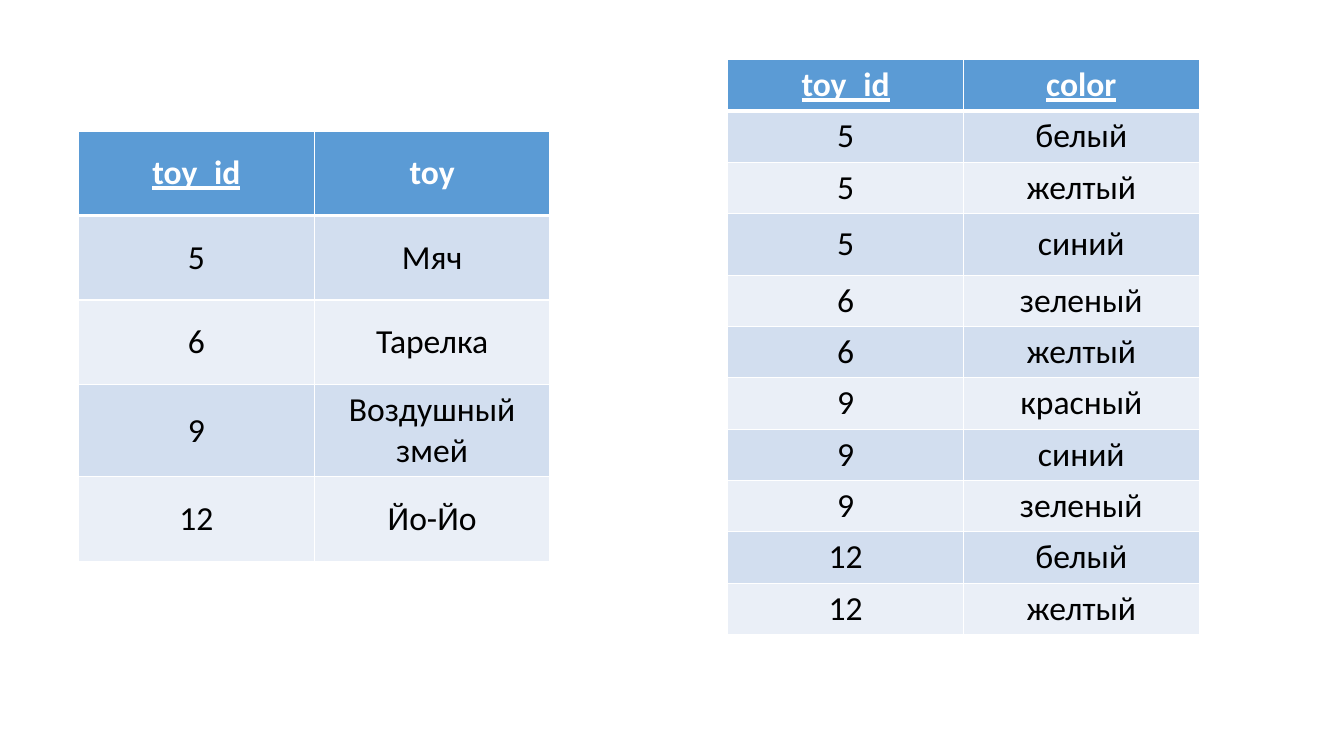
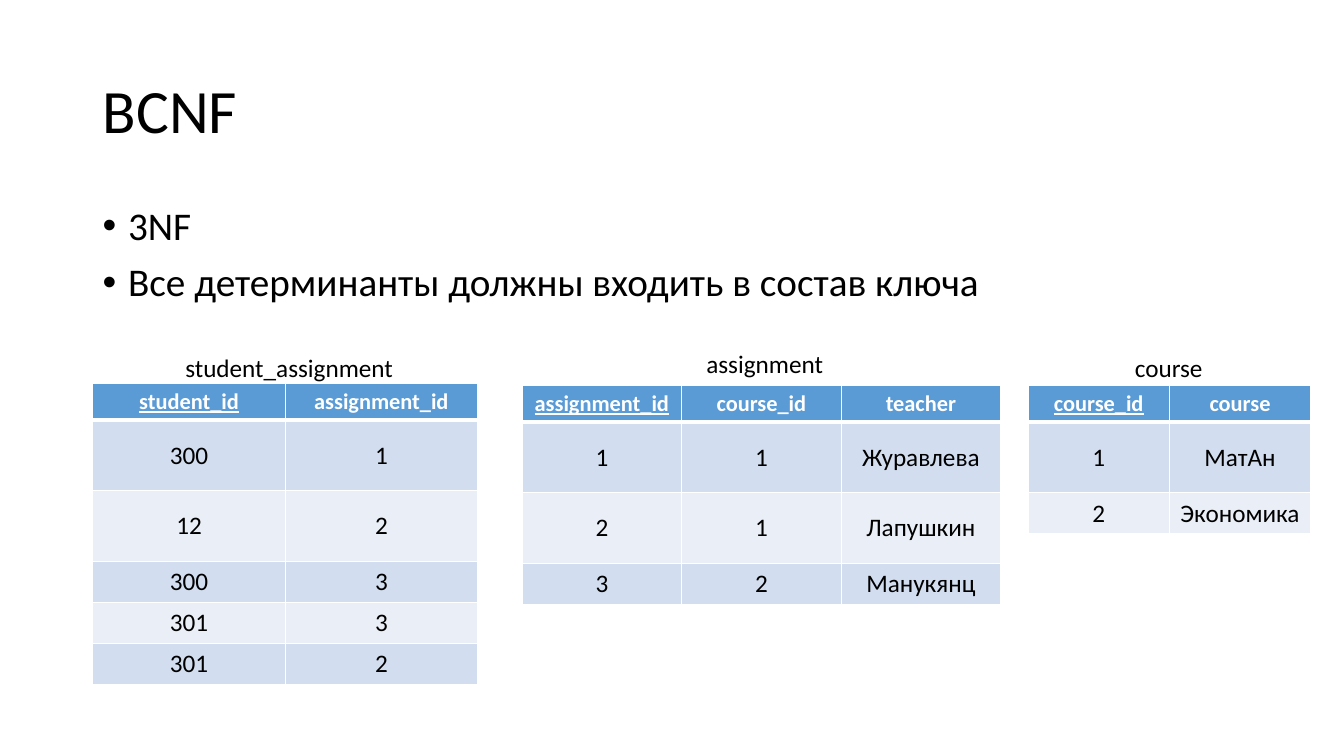
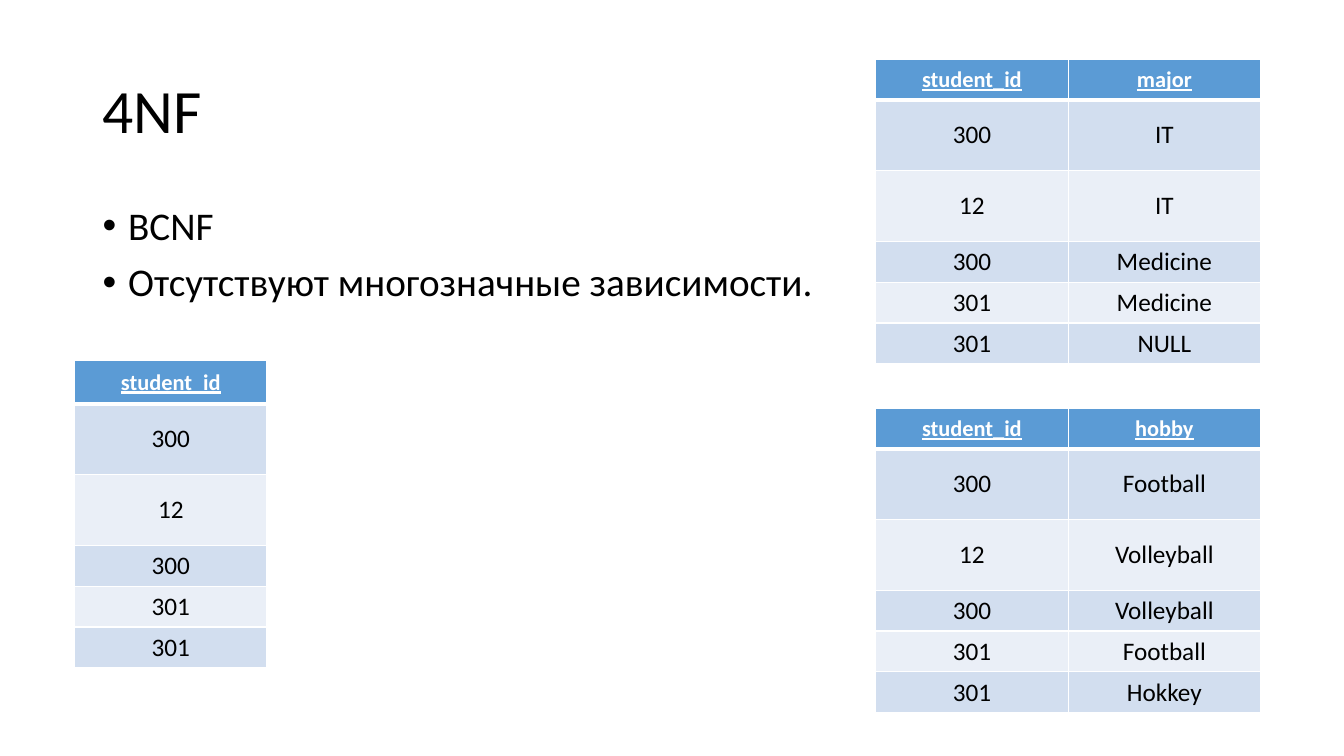
"""Build three slides on database normal forms with python-pptx."""
import dataclasses

import lxml.etree
import pptx
import pptx.dml.color
import pptx.enum.text
import pptx.oxml.ns
import pptx.presentation
import pptx.slide
import pptx.table
import pptx.text.text
import pptx.util

Cm = pptx.util.Cm
Pt = pptx.util.Pt
RGBColor = pptx.dml.color.RGBColor
Anchor = pptx.enum.text.MSO_ANCHOR
qn = pptx.oxml.ns.qn

FONT = "Calibri"
BLACK = RGBColor(0x00, 0x00, 0x00)
WHITE = RGBColor(0xFF, 0xFF, 0xFF)
HEADER_BLUE = RGBColor(0x5B, 0x9B, 0xD5)
BAND_DARK = RGBColor(0xD2, 0xDE, 0xEF)
BAND_LIGHT = RGBColor(0xEA, 0xEF, 0xF7)

THIN, THICK = 1, 3
MARGIN = 2.34
TEXT_WIDTH = 29.21
BULLET_INDENT = Cm(0.64)
TALL, SHORT = 1.78, 1.03
STUDENT_ROWS = (TALL, TALL, SHORT, SHORT, SHORT)
STUDENT_COL = 4.85
RIGHT_LEFT = 22.07


@dataclasses.dataclass(frozen=True)
class TableStyle:
    header_pt: int
    body_pt: int
    body_inset: float


LARGE = TableStyle(24, 24, 0.25)
SMALL = TableStyle(16, 18, 0.13)


@dataclasses.dataclass(frozen=True)
class Table:
    left: float
    top: float
    col_width: float
    header_height: float
    row_heights: tuple[float, ...]
    header: tuple[str, ...]
    rows: tuple[tuple[str, ...], ...]
    keys: int = 1
    style: TableStyle = SMALL


@dataclasses.dataclass(frozen=True)
class Caption:
    left: float
    top: float
    width: float
    text: str


@dataclasses.dataclass(frozen=True)
class Page:
    tables: tuple[Table, ...]
    title: str = ""
    bullets: tuple[str, ...] = ()
    captions: tuple[Caption, ...] = ()


def add_run(p: pptx.text.text._Paragraph, text: str, size: int,
            color: RGBColor = BLACK, bold: bool = False, underline: bool = False) -> None:
    r = p.add_run()
    r.text = text
    r.font.name = FONT
    r.font.size = Pt(size)
    r.font.color.rgb = color
    r.font.bold = bold
    r.font.underline = underline


def add_text_frame(s: pptx.slide.Slide, left: float, top: float,
                   width: float, height: float) -> pptx.text.text.TextFrame:
    tf = s.shapes.add_textbox(Cm(left), Cm(top), Cm(width), Cm(height)).text_frame
    tf.word_wrap = True
    return tf


def add_title(s: pptx.slide.Slide, text: str) -> None:
    tf = add_text_frame(s, MARGIN, 1.02, TEXT_WIDTH, 3.68)
    tf.vertical_anchor = Anchor.MIDDLE
    p = tf.paragraphs[0]
    p.line_spacing = 0.9
    add_run(p, text, 44)


def add_bullets(s: pptx.slide.Slide, bullets: tuple[str, ...]) -> None:
    tf = add_text_frame(s, MARGIN, 5.08, TEXT_WIDTH, 12.09)
    for i, text in enumerate(bullets):
        p = tf.add_paragraph() if i else tf.paragraphs[0]
        p.line_spacing = 0.9
        p.space_before = Pt(10)
        pPr = p._p.get_or_add_pPr()
        pPr.set("marL", str(BULLET_INDENT))
        pPr.set("indent", str(-BULLET_INDENT))
        lxml.etree.SubElement(pPr, qn("a:buFont"), typeface="Arial")
        lxml.etree.SubElement(pPr, qn("a:buChar"), char="•")
        add_run(p, text, 28)


def add_caption(s: pptx.slide.Slide, caption: Caption) -> None:
    tf = add_text_frame(s, caption.left, caption.top, caption.width, SHORT)
    tf.auto_size = pptx.enum.text.MSO_AUTO_SIZE.SHAPE_TO_FIT_TEXT
    add_run(tf.paragraphs[0], caption.text, 18)


def set_borders(cell: pptx.table._Cell, top: int, bottom: int) -> None:
    tcPr = cell._tc.get_or_add_tcPr()
    for side, width in (("L", THIN), ("R", THIN), ("T", top), ("B", bottom)):
        ln = lxml.etree.SubElement(tcPr, qn(f"a:ln{side}"), w=str(Pt(width)))
        fill = lxml.etree.SubElement(ln, qn("a:solidFill"))
        lxml.etree.SubElement(fill, qn("a:srgbClr"), val=str(WHITE))


def fill_cell(cell: pptx.table._Cell, text: str, row: int, is_key: bool, style: TableStyle) -> None:
    is_header = row == 0
    set_borders(cell, THICK if row == 1 else THIN, THICK if is_header else THIN)
    cell.fill.solid()
    cell.fill.fore_color.rgb = HEADER_BLUE if is_header else (BAND_LIGHT, BAND_DARK)[row % 2]
    cell.vertical_anchor = Anchor.MIDDLE
    cell.margin_left = cell.margin_right = Cm(0.25 if is_header else style.body_inset)
    cell.margin_top = cell.margin_bottom = Cm(0.13)
    p = cell.text_frame.paragraphs[0]
    p.alignment = pptx.enum.text.PP_ALIGN.CENTER
    if is_header:
        add_run(p, text, style.header_pt, WHITE, bold=True, underline=is_key)
    else:
        add_run(p, text, style.body_pt)


def add_table(s: pptx.slide.Slide, table: Table) -> None:
    heights = (table.header_height, *table.row_heights)
    cols = len(table.header)
    tbl = s.shapes.add_table(len(heights), cols, Cm(table.left), Cm(table.top),
                             Cm(table.col_width * cols), Cm(sum(heights))).table
    for column in tbl.columns:
        column.width = Cm(table.col_width)
    for i, (height, texts) in enumerate(zip(heights, (table.header, *table.rows))):
        tbl.rows[i].height = Cm(height)
        for j, text in enumerate(texts):
            fill_cell(tbl.cell(i, j), text, i, j < table.keys, table.style)


def add_page(prs: pptx.presentation.Presentation, page: Page) -> None:
    s = prs.slides.add_slide(prs.slide_layouts[6])
    if page.title:
        add_title(s, page.title)
    if page.bullets:
        add_bullets(s, page.bullets)
    for table in page.tables:
        add_table(s, table)
    for caption in page.captions:
        add_caption(s, caption)


PAGES = (
    Page(tables=(
        Table(1.98, 3.3, 5.94, 2.13, (2.13,) * 4, ("toy_id", "toy"),
              (("5", "Мяч"), ("6", "Тарелка"), ("9", "Воздушный змей"), ("12", "Йо-Йо")),
              style=LARGE),
        Table(18.34, 1.5, 5.94, 1.29, (1.29, 1.29, 1.55) + (1.29,) * 7, ("toy_id", "color"),
              (("5", "белый"), ("5", "желтый"), ("5", "синий"), ("6", "зеленый"),
               ("6", "желтый"), ("9", "красный"), ("9", "синий"), ("9", "зеленый"),
               ("12", "белый"), ("12", "желтый")),
              keys=2, style=LARGE),
    )),
    Page(
        title="BCNF",
        bullets=("3NF", "Все детерминанты должны входить в состав ключа"),
        tables=(
            Table(MARGIN, 9.65, STUDENT_COL, 0.94, STUDENT_ROWS, ("student_id", "assignment_id"),
                  (("300", "1"), ("12", "2"), ("300", "3"), ("301", "3"), ("301", "2"))),
            Table(13.16, 9.7, 4.02, 0.94, (TALL, TALL, SHORT),
                  ("assignment_id", "course_id", "teacher"),
                  (("1", "1", "Журавлева"), ("2", "1", "Лапушкин"), ("3", "2", "Манукянц"))),
            Table(25.91, 9.7, 3.56, 0.94, (TALL, SHORT), ("course_id", "course"),
                  (("1", "МатАн"), ("2", "Экономика"))),
        ),
        captions=(
            Caption(4.42, 8.76, 6.35, "student_assignment"),
            Caption(17.55, 8.66, 6.35, "assignment"),
            Caption(28.35, 8.76, 2.9, "course"),
        ),
    ),
    Page(
        title="4NF",
        bullets=("BCNF", "Отсутствуют многозначные зависимости."),
        tables=(
            Table(RIGHT_LEFT, 1.5, STUDENT_COL, 1.02, STUDENT_ROWS, ("student_id", "major"),
                  (("300", "IT"), ("12", "IT"), ("300", "Medicine"),
                   ("301", "Medicine"), ("301", "NULL")), keys=2),
            Table(1.88, 9.09, STUDENT_COL, 1.09, STUDENT_ROWS, ("student_id",),
                  (("300",), ("12",), ("300",), ("301",), ("301",))),
            Table(RIGHT_LEFT, 10.29, STUDENT_COL, 1.02, STUDENT_ROWS, ("student_id", "hobby"),
                  (("300", "Football"), ("12", "Volleyball"), ("300", "Volleyball"),
                   ("301", "Football"), ("301", "Hokkey")), keys=2),
        ),
    ),
)


def main() -> None:
    prs = pptx.Presentation()
    prs.slide_width = Cm(33.87)
    prs.slide_height = Cm(19.05)
    for page in PAGES:
        add_page(prs, page)
    prs.save("out.pptx")


if __name__ == "__main__":
    main()
